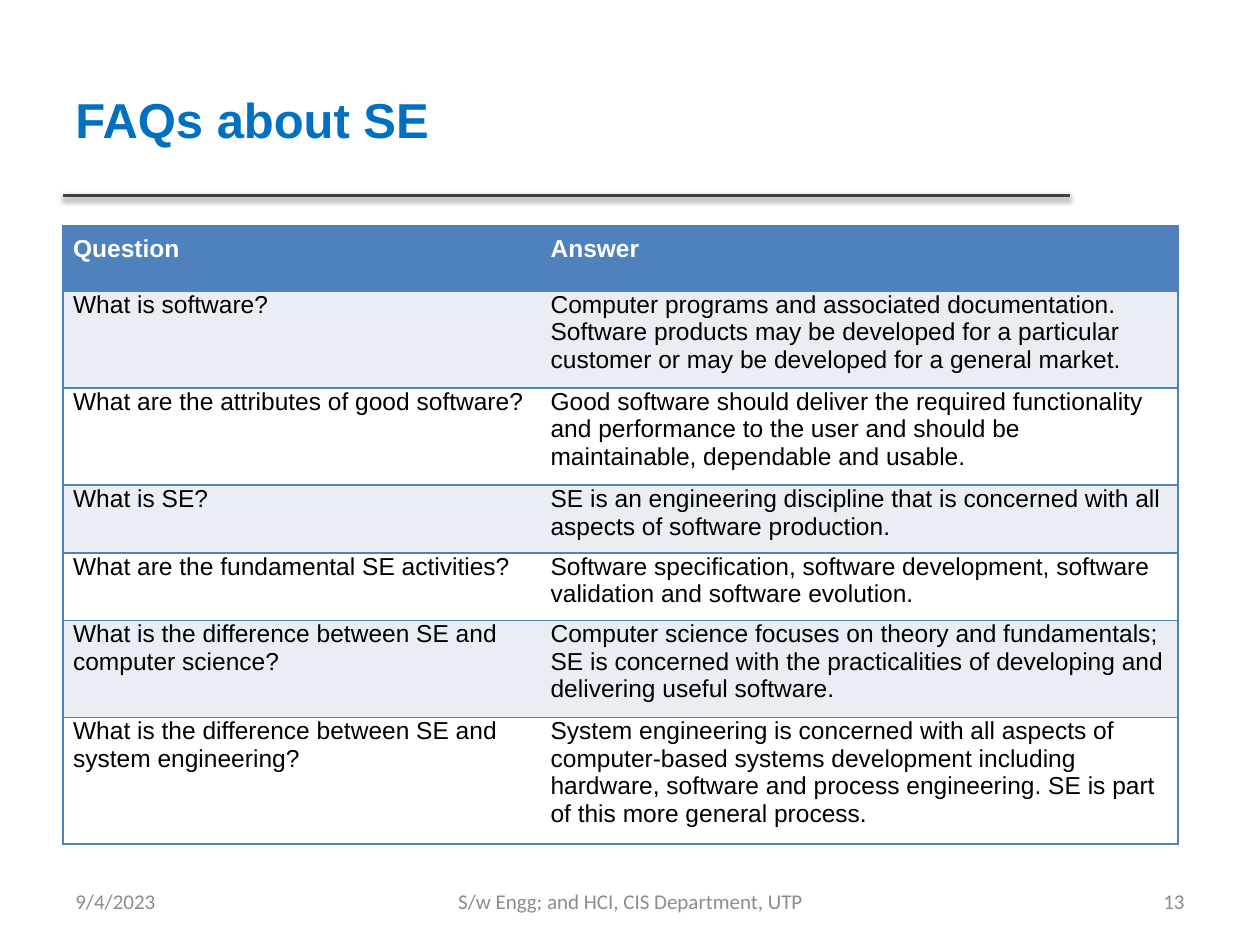
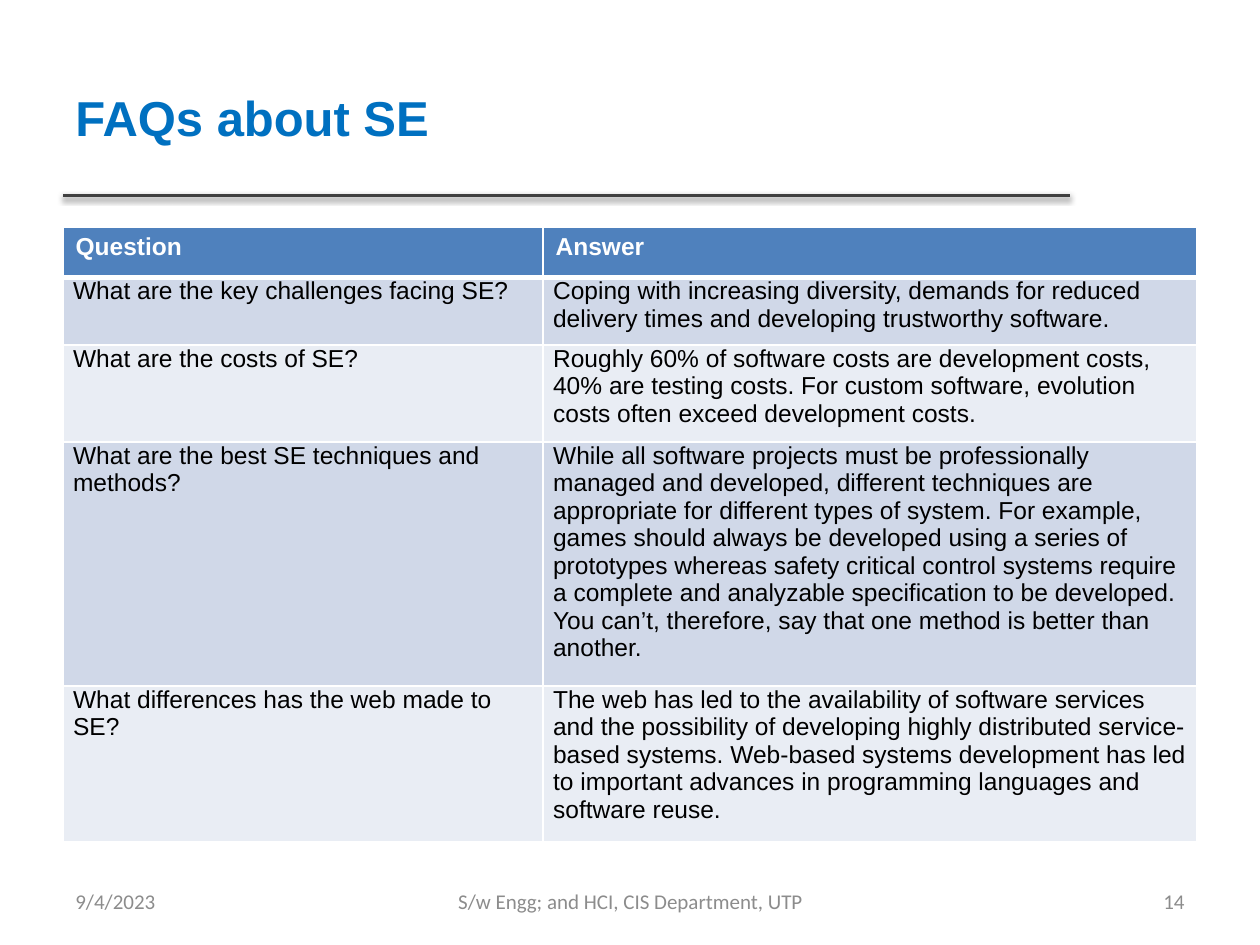
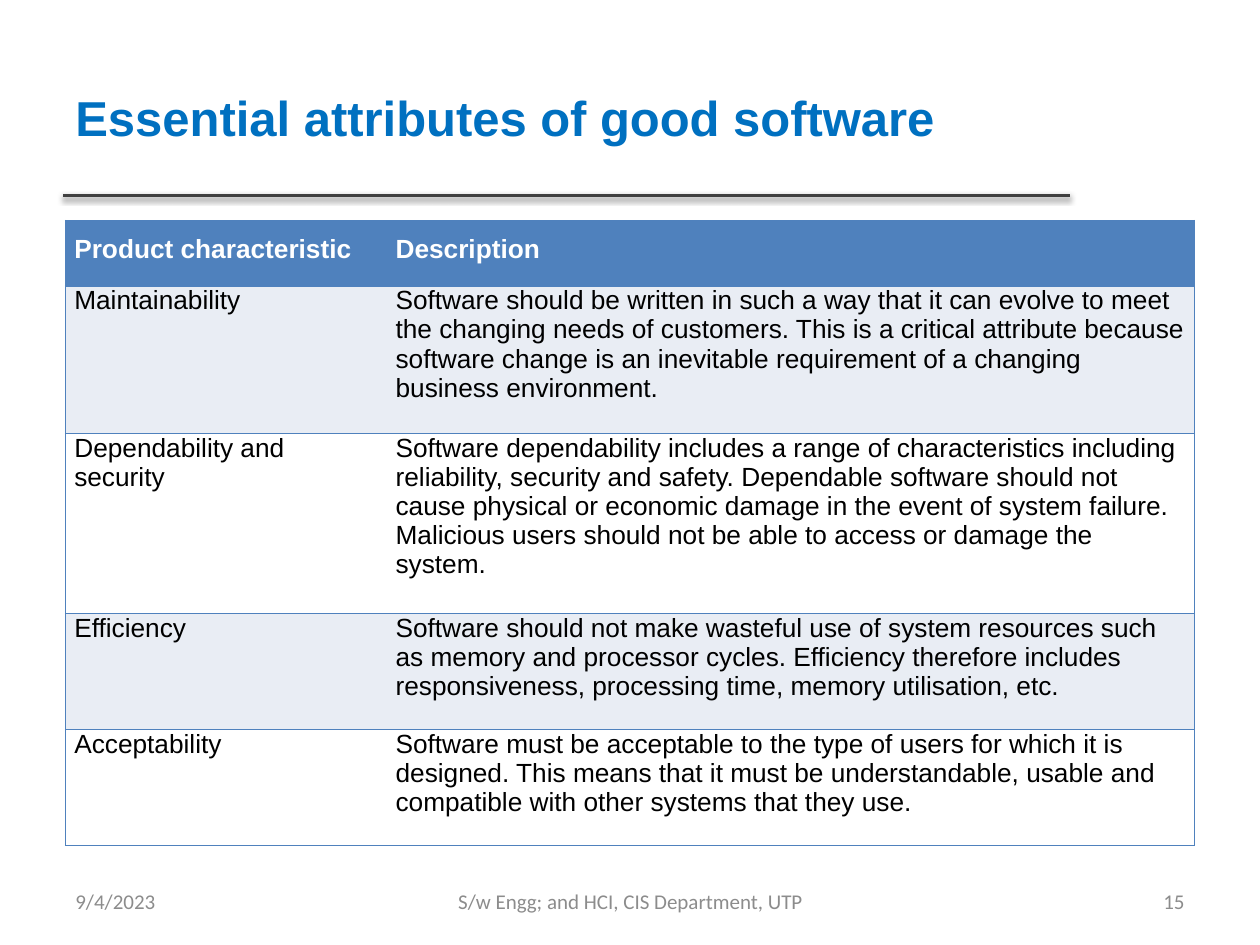
import pptx
import pptx.dml.color
import pptx.enum.shapes
import pptx.enum.text
import pptx.oxml
import pptx.oxml.ns
import pptx.util
from pptx.util import Inches

COLORS = {
    "title": "0070C0", "rule": "404040", "footer": "8C8C8C", "header": "4F81BD",
    "light": "E9EDF4", "medium": "D0D8E8", "white": "FFFFFF", "black": "000000",
}
ALIGN = pptx.enum.text.PP_ALIGN
TITLE_FORMAT = {"name": "Arial", "size": 28, "bold": True, "color": "title"}
FOOTER_FORMAT = {"name": "Calibri", "size": 12, "bold": False, "color": "footer"}
FOOTER_TOP, FOOTER_HEIGHT = 6.95, 0.4
DRAWING = pptx.oxml.ns.nsdecls("a")

# Two table styles: outlined rows, and a white grid
OUTLINED = {"bands": ("light", "white"), "border": "header", "inner": False, "header_rule": 1}
GRID = {"bands": ("medium", "light"), "border": "white", "inner": True, "header_rule": 3}

# Margins run left, top, right, bottom
SLIDES = [
    {
        "title": "FAQs about SE", "title_size": (8.41, 1.29), "number": 13,
        "style": OUTLINED, "position": (0.5, 1.79), "font_size": 14,
        "columns": (3.79, 5.06), "row_heights": (0.52, 0.73, 0.73, 0.52, 0.52, 0.73, 0.95),
        "header_margins": (0.08, 0.08, 0.08, 0.08), "body_margins": (0.08, 0, 0.08, 0.07),
        "rows": [
            ("Question", "Answer"),
            ("What is software?",
             "Computer programs and associated documentation. Software products may be "
             "developed for a particular customer or may be developed for a general market."),
            ("What are the attributes of good software?",
             "Good software should deliver the required functionality and performance to the "
             "user and should be maintainable, dependable and usable."),
            ("What is SE?",
             "SE is an engineering discipline that is concerned with all aspects of software "
             "production."),
            ("What are the fundamental SE activities?",
             "Software specification, software development, software validation and software "
             "evolution."),
            ("What is the difference between SE and computer science?",
             "Computer science focuses on theory and fundamentals; SE is concerned with the "
             "practicalities of developing and delivering useful software."),
            ("What is the difference between SE and system engineering?",
             "System engineering is concerned with all aspects of computer-based systems "
             "development including hardware, software and process engineering. SE is part of "
             "this more general process."),
        ],
    },
    {
        "title": "FAQs about SE", "title_size": (7.98, 1.25), "number": 14,
        "style": GRID, "position": (0.5, 1.8), "font_size": 14,
        "columns": (3.81, 5.19), "row_heights": (0.4, 0.52, 0.73, 1.82, 1.16),
        "header_margins": (0.1, 0.05, 0.1, 0.05), "body_margins": (0.08, 0, 0.08, 0.07),
        "rows": [
            ("Question", "Answer"),
            ("What are the key challenges facing SE?",
             "Coping with increasing diversity, demands for reduced delivery times and "
             "developing trustworthy software."),
            ("What are the costs of SE?",
             "Roughly 60% of software costs are development costs, 40% are testing costs. For "
             "custom software, evolution costs often exceed development costs."),
            ("What are the best SE techniques and methods?",
             "While all software projects must be professionally managed and developed, "
             "different techniques are appropriate for different types of system. For example, "
             "games should always be developed using a series of prototypes whereas safety "
             "critical control systems require a complete and analyzable specification to be "
             "developed. You can’t, therefore, say that one method is better than another."),
            ("What differences has the web made to SE?",
             "The web has led to the availability of software services and the possibility of "
             "developing highly distributed service-based systems. Web-based systems "
             "development has led to important advances in programming languages and software "
             "reuse."),
        ],
    },
    {
        "title": "Essential attributes of good software", "title_size": (7.98, 1.25),
        "number": 15,
        "style": OUTLINED, "position": (0.52, 1.75), "font_size": 15,
        "columns": (2.55, 6.41), "row_heights": (0.52, 1.17, 1.43, 0.92, 0.92),
        "header_margins": (0.07, 0.11, 0.07, 0.11), "body_margins": (0.07, 0, 0.07, 0.11),
        "rows": [
            ("Product characteristic", "Description"),
            ("Maintainability",
             "Software should be written in such a way that it can evolve to meet the changing "
             "needs of customers. This is a critical attribute because software change is an "
             "inevitable requirement of a changing business environment."),
            ("Dependability and security",
             "Software dependability includes a range of characteristics including reliability, "
             "security and safety. Dependable software should not cause physical or economic "
             "damage in the event of system failure. Malicious users should not be able to "
             "access or damage the system."),
            ("Efficiency",
             "Software should not make wasteful use of system resources such as memory and "
             "processor cycles. Efficiency therefore includes responsiveness, processing time, "
             "memory utilisation, etc."),
            ("Acceptability",
             "Software must be acceptable to the type of users for which it is designed. This "
             "means that it must be understandable, usable and compatible with other systems "
             "that they use."),
        ],
    },
]


def write_text(text_frame, text, text_format, alignment=ALIGN.LEFT):
    paragraph = text_frame.paragraphs[0]
    paragraph.alignment = alignment
    run = paragraph.add_run()
    run.text = text
    values = {**text_format, "size": pptx.util.Pt(text_format["size"])}
    color = values.pop("color")
    for attribute, value in values.items():
        setattr(run.font, attribute, value)
    run.font.color.rgb = pptx.dml.color.RGBColor.from_string(COLORS[color])


def add_label(slide, box, text, text_format, alignment=ALIGN.LEFT):
    text_frame = slide.shapes.add_textbox(*map(Inches, box)).text_frame
    text_frame.word_wrap = True
    text_frame.vertical_anchor = pptx.enum.text.MSO_ANCHOR.MIDDLE
    write_text(text_frame, text, text_format, alignment)


presentation = pptx.Presentation()
presentation.slide_width = Inches(10)
presentation.slide_height = Inches(7.5)

for content in SLIDES:
    slide = presentation.slides.add_slide(presentation.slide_layouts[6])

    # Rule under the title, with a soft shadow
    rule = slide.shapes.add_connector(
        pptx.enum.shapes.MSO_CONNECTOR.STRAIGHT,
        Inches(0.5), Inches(1.55), Inches(8.49), Inches(1.55))
    rule.line.width = pptx.util.Pt(2)
    rule.line.color.rgb = pptx.dml.color.RGBColor.from_string(COLORS["rule"])
    blur, distance = pptx.util.Pt(3.1), pptx.util.Pt(1.6)
    rule.element.spPr.append(pptx.oxml.parse_xml(
        f'<a:effectLst {DRAWING}><a:outerShdw blurRad="{blur}" dist="{distance}" dir="5400000">'
        f'<a:srgbClr val="{COLORS["black"]}"><a:alpha val="38000"/></a:srgbClr>'
        '</a:outerShdw></a:effectLst>'))

    # Title and footers
    add_label(slide, (0.5, 0.3, *content["title_size"]), content["title"], TITLE_FORMAT)
    for left, width, text, alignment in (
        (0.5, 2.33, "9/4/2023", ALIGN.LEFT),
        (3.42, 3.17, "S/w Engg; and HCI, CIS Department, UTP", ALIGN.CENTER),
        (7.17, 2.33, str(content["number"]), ALIGN.RIGHT),
    ):
        add_label(slide, (left, FOOTER_TOP, width, FOOTER_HEIGHT), text, FOOTER_FORMAT, alignment)

    # Table frame
    style, rows, columns = content["style"], content["rows"], content["columns"]
    size = (sum(columns), sum(content["row_heights"]))
    table = slide.shapes.add_table(
        len(rows), len(columns), *map(Inches, content["position"] + size)).table
    table.first_row = table.horz_banding = False
    for column, width in zip(table.columns, columns):
        column.width = Inches(width)
    for row, height in zip(table.rows, content["row_heights"]):
        row.height = Inches(height)

    # Table cells
    for row_index, row_texts in enumerate(rows):
        is_header = row_index == 0
        fill = "header" if is_header else style["bands"][(row_index - 1) % 2]
        margins = content["header_margins" if is_header else "body_margins"]
        text_format = {"name": "Arial", "size": content["font_size"], "bold": is_header,
                       "color": "white" if is_header else "black"}
        for column_index, text in enumerate(row_texts):
            cell = table.cell(row_index, column_index)
            for side, margin in zip(("left", "top", "right", "bottom"), margins):
                setattr(cell, f"margin_{side}", Inches(margin))
            cell.fill.solid()
            cell.fill.fore_color.rgb = pptx.dml.color.RGBColor.from_string(COLORS[fill])
            write_text(cell.text_frame, text, text_format)

            # Borders: the header rule lies between the first two rows
            widths = {
                "L": 1 if style["inner"] or column_index == 0 else 0,
                "R": 1 if style["inner"] or column_index == len(columns) - 1 else 0,
                "T": style["header_rule"] if row_index == 1 else 1,
                "B": style["header_rule"] if is_header else 1,
            }
            properties = cell._tc.get_or_add_tcPr()
            for position, (side, width) in enumerate(widths.items()):
                paint = (f'<a:solidFill><a:srgbClr val="{COLORS[style["border"]]}"/></a:solidFill>'
                         if width else "<a:noFill/>")
                properties.insert(position, pptx.oxml.parse_xml(
                    f'<a:ln{side} {DRAWING} w="{pptx.util.Pt(width)}">{paint}</a:ln{side}>'))

presentation.save("out.pptx")
